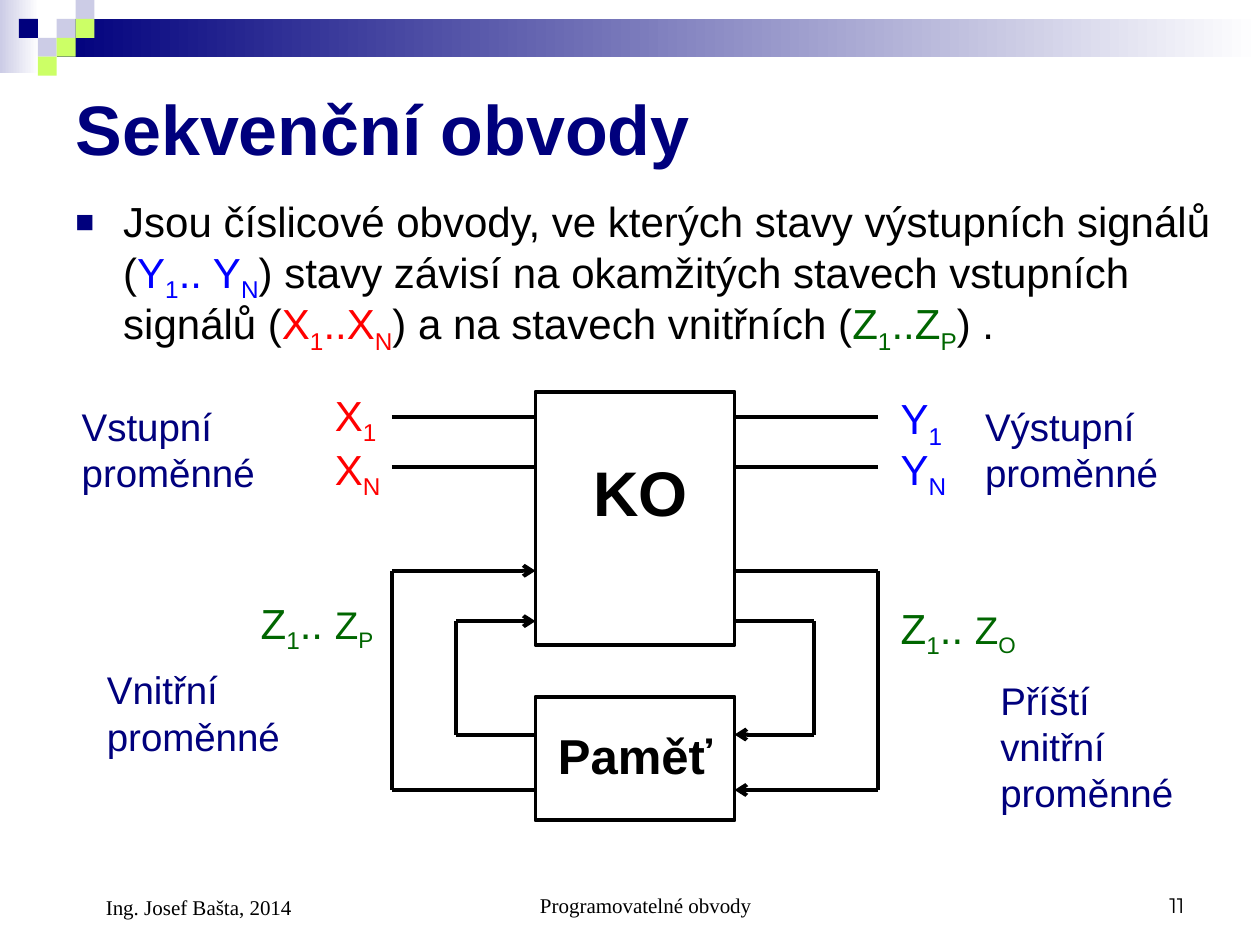
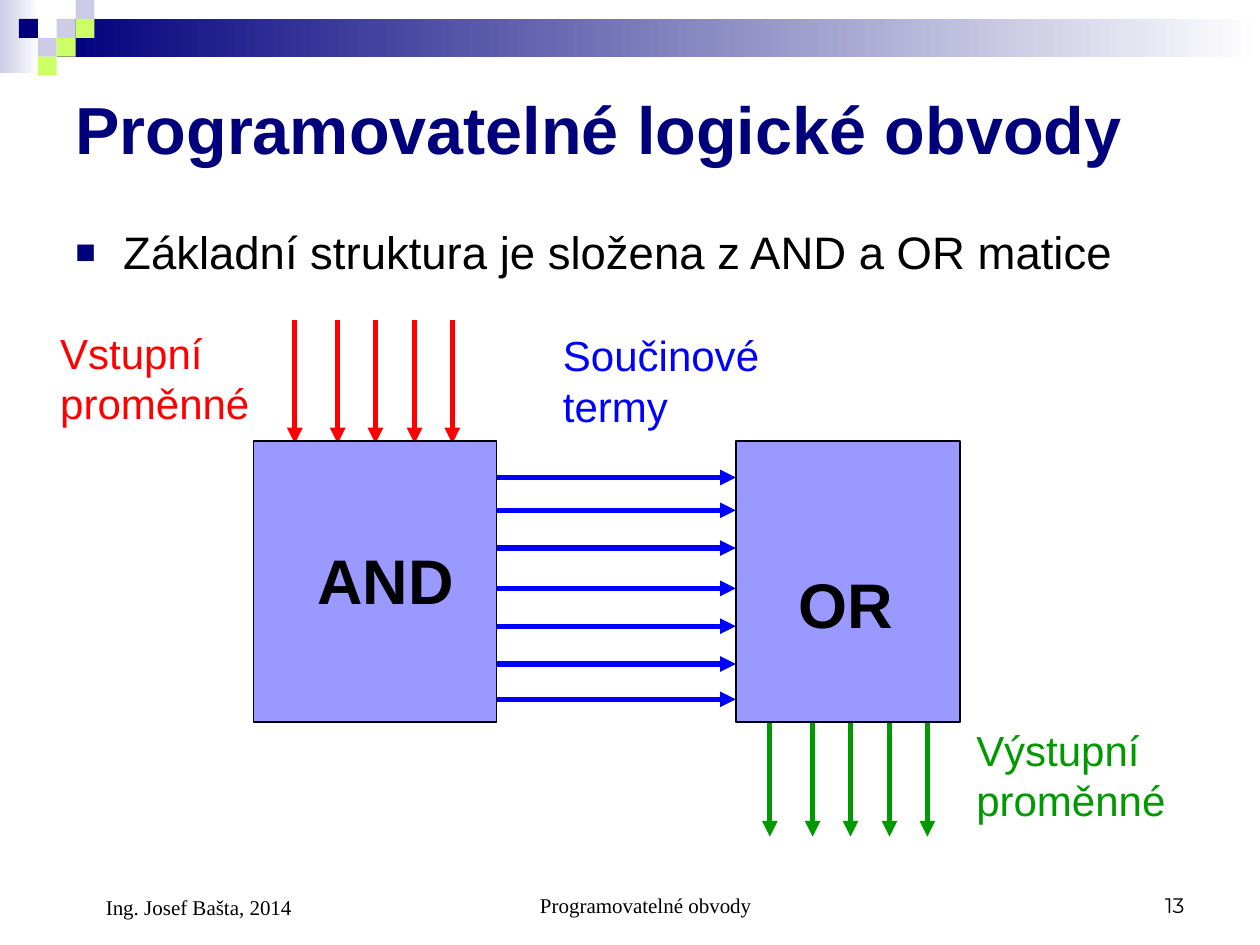
from lxml import etree
from pptx import Presentation
from pptx import util as u
from pptx.dml.color import RGBColor
from pptx.enum import shapes, text
from pptx.oxml.ns import qn

COLOURS = {
    "navy": "00007D", "lavender": "CCCCE6", "lime": "CCFF66", "white": "FFFFFF",
    "black": "000000", "blue": "0000FF", "red": "FF0000",
    "state": "006600", "output": "009900", "block": "9999FF",
}
SANS, SERIF, NUMBER = "Arial", "Times New Roman", "Montserrat"
LEFT, CENTER, RIGHT = text.PP_ALIGN.LEFT, text.PP_ALIGN.CENTER, text.PP_ALIGN.RIGHT
TOP, MIDDLE, BOTTOM = (text.MSO_ANCHOR.TOP, text.MSO_ANCHOR.MIDDLE,
                       text.MSO_ANCHOR.BOTTOM)
FOOTER_INDENT = 0.34


def rgb(name):
    return RGBColor.from_string(COLOURS[name])


def inches(box):
    return [u.Inches(length) for length in box]


# Shared drawing helpers
def set_font(paragraph, size, colour, bold=False, face=SANS):
    font = paragraph.font
    font.name, font.size, font.bold = face, u.Pt(size), bold
    font.color.rgb = rgb(colour)


def add_runs(paragraph, segments):
    """Add (wording, colour, size) segments; "_" makes the next letter a subscript."""
    for wording, colour, size in segments:
        head, *rest = wording.split("_")
        pieces = [(head, False)]
        for part in rest:
            pieces += [(part[0], True), (part[1:], False)]
        for piece, lowered in pieces:
            if not piece:
                continue
            run = paragraph.add_run()
            run.text = piece
            if colour:
                run.font.color.rgb = rgb(colour)
            if size:
                run.font.size = u.Pt(size)
            if lowered:
                run.font._element.set("baseline", "-25000")


def add_text(slide, box, wording, size, colour="black", bold=False, face=SANS,
             align=LEFT, anchor=TOP, left_inset=0.1):
    frame = slide.shapes.add_textbox(*inches(box)).text_frame
    frame.word_wrap = True
    frame.vertical_anchor = anchor
    frame.margin_left = u.Inches(left_inset)
    paragraph = frame.paragraphs[0]
    paragraph.alignment = align
    add_runs(paragraph, [(wording, None, None)] if isinstance(wording, str) else wording)
    set_font(paragraph, size, colour, bold, face)
    return paragraph


def add_bullet(slide, box, wording, size, line_spacing=1.0):
    paragraph = add_text(slide, box, wording, size)
    paragraph.line_spacing = line_spacing
    properties = paragraph._p.get_or_add_pPr()
    properties.set("marL", str(u.Inches(0.38)))
    properties.set("indent", str(u.Inches(-0.38)))
    colour = etree.Element(qn("a:buClr"))
    etree.SubElement(colour, qn("a:srgbClr"), val=COLOURS["navy"])
    marks = [colour,
             etree.Element(qn("a:buSzPct"), val="75000"),
             etree.Element(qn("a:buFont"), typeface=SANS),
             etree.Element(qn("a:buChar"), char="■")]
    defaults = properties.find(qn("a:defRPr"))
    for mark in marks:
        defaults.addprevious(mark)


def add_rect(slide, box, fill=None, line_width=None):
    rect = slide.shapes.add_shape(shapes.MSO_SHAPE.RECTANGLE, *inches(box))
    rect.shadow.inherit = False
    if fill:
        rect.fill.solid()
        rect.fill.fore_color.rgb = rgb(fill)
    else:
        rect.fill.background()
    if line_width:
        rect.line.color.rgb = rgb("black")
        rect.line.width = u.Pt(line_width)
    else:
        rect.line.fill.background()
    return rect


def add_line(slide, start, end, colour="black", width=2.25, arrow=None):
    line = slide.shapes.add_connector(shapes.MSO_CONNECTOR.STRAIGHT,
                                      *inches((*start, *end)))
    line.line.color.rgb = rgb(colour)
    line.line.width = u.Pt(width)
    if arrow:
        etree.SubElement(line.line._get_or_add_ln(), qn("a:tailEnd"), type=arrow)
    etree.SubElement(line._element.spPr, qn("a:effectLst"))


# Parts shared by the slides
def add_band(slide):
    for box, colour, angle in (((0, 0, 0.31, 0.58), "lavender", 0),
                               ((0.45, 0.15, 9.55, 0.3), "navy", 0)):
        fill = add_rect(slide, box).fill
        fill.gradient()
        fill.gradient_angle = angle
        for stop, name in zip(fill.gradient_stops, (colour, "white")):
            stop.color.rgb = rgb(name)
    cell = 0.15
    squares = {"lavender": [(3, 1), (4, 0), (2, 2)],
               "lime": [(4, 1), (3, 2), (2, 3)],
               "navy": [(1, 1)]}
    for colour, cells in squares.items():
        for column, row in cells:
            add_rect(slide, (column * cell, row * cell, cell, cell), colour)


def add_footer(slide, number):
    add_text(slide, (3.42, 6.83, 3.17, 0.5), "Programovatelné obvody", 12, face=SERIF,
             align=CENTER, anchor=BOTTOM, left_inset=FOOTER_INDENT)
    add_text(slide, (7.17, 6.83, 2.33, 0.5), number, 12, face=NUMBER,
             align=RIGHT, anchor=BOTTOM)
    add_text(slide, (0.5, 6.83, 2.33, 0.52), "Ing. Josef Bašta, 2014", 12, face=SERIF,
             anchor=BOTTOM, left_inset=FOOTER_INDENT)


def start_slide(prs, heading, size, number):
    slide = prs.slides.add_slide(prs.slide_layouts[5])
    add_band(slide)
    title = slide.shapes.title
    title.left, title.top, title.width, title.height = inches((0.5, 0.5, 9, 1.03))
    frame = title.text_frame
    frame.text = heading
    frame.word_wrap = True
    frame.auto_size = text.MSO_AUTO_SIZE.NONE
    frame.vertical_anchor = MIDDLE
    frame.paragraphs[0].alignment = LEFT
    set_font(frame.paragraphs[0], size, "navy", bold=True)
    add_footer(slide, number)
    return slide


# Sequential circuit: combinational block with memory feedback
def draw_feedback_circuit(slide, left, top):
    middle, half = left + 4.54, 0.79
    inner, outer = 1.42, 1.93
    add_rect(slide, (middle - half, top + 0.11, 2 * half, 2.01), line_width=2.25)
    add_rect(slide, (middle - half, top + 2.53, 2 * half, 0.98), line_width=2.25)

    # Wires mirrored about the blocks; state enters KO on the left, memory on the right
    for side in (-1, 1):
        edge = middle + side * half
        for y in (0.31, 0.71):
            add_line(slide, (middle + side * outer, top + y), (edge, top + y))
        for reach, upper, lower in ((outer, 1.53, 3.27), (inner, 1.93, 2.83)):
            x = middle + side * reach
            add_line(slide, (x, top + upper), (x, top + lower))
            for y, enters in ((upper, side < 0), (lower, side > 0)):
                add_line(slide, (x, top + y), (edge, top + y),
                         arrow="arrow" if enters else None)

    # Block names
    add_text(slide, (left + 4.11, top + 0.55, 1.02, 0.7), "KO", 36, bold=True)
    add_text(slide, (left + 3.83, top + 2.71, 1.57, 0.57), "Paměť", 28, bold=True)

    # Signal names
    signals = [(2.06, 0.04, "X_1", "red"), (2.06, 0.47, "X_N", "red"),
               (6.55, 0.07, "Y_1", "blue"), (6.55, 0.47, "Y_N", "blue")]
    for x, y, signal, colour in signals:
        add_text(slide, (left + x, top + y, 0.59, 0.56), signal, 24, colour)
    for x, y, last in ((1.47, 1.69, "Z_P"), (6.55, 1.73, "Z_O")):
        add_text(slide, (left + x, top + y, 1.18, 0.56),
                 [("Z_1.. ", None, None), (last, None, 22)], 24, "state")

    # Groups of variables
    groups = [(0.05, 0.15, "Vstupní proměnné"), (7.22, 0.15, "Výstupní proměnné"),
              (0.25, 2.24, "Vnitřní proměnné"), (7.34, 2.32, "Příští vnitřní proměnné")]
    for x, y, group in groups:
        add_text(slide, (left + x, top + y, 1.75, 0.82), group, 22, "navy")


# Programmable logic: AND matrix feeding an OR matrix
def draw_matrices(slide, left, top):
    and_left, or_left, block_top = left + 1.63, left + 5.46, top + 0.96
    and_width, or_width, block_height = 1.93, 1.78, 2.23

    # Inputs, outputs and product terms
    for step in (0, 0.34, 0.64, 0.95, 1.25):
        for x, y, colour in ((and_left + 0.33, top, "red"),
                             (or_left + 0.27, top + 3.12, "output")):
            add_line(slide, (x + step, y), (x + step, y + 0.98), colour, 3, "triangle")
    for drop in (0.29, 0.55, 0.85, 1.17, 1.47, 1.77, 2.05):
        y = block_top + drop
        add_line(slide, (and_left + and_width, y), (or_left, y), "blue", 3, "triangle")

    # Matrices and their names
    for x, width in ((and_left, and_width), (or_left, or_width)):
        add_rect(slide, (x, block_top, width, block_height), "block", 0.75)
    for x, y, name in ((1.93, 1.71, "AND"), (5.58, 1.9, "OR")):
        add_text(slide, (left + x, top + y, 1.5, 0.7), name, 36, bold=True, align=CENTER)

    # Signal groups
    groups = [(0, 0.01, "Vstupní proměnné", "red"),
              (7.27, 3.16, "Výstupní proměnné", "output"),
              (3.99, 0.03, "Součinové termy", "blue")]
    for x, y, group, colour in groups:
        add_text(slide, (left + x, top + y, 1.97, 0.9), group, 24, colour)


def build_sequential_slide(prs):
    slide = start_slide(prs, "Sekvenční obvody", 40, "11")
    definition = [
        ("Jsou číslicové obvody, ve kterých stavy výstupních signálů (", None, None),
        ("Y_1.. Y_N", "blue", None),
        (") stavy závisí na okamžitých stavech vstupních signálů (", None, None),
        ("X_1..X_N", "red", None),
        (") a na stavech vnitřních (", None, None),
        ("Z_1..Z_P", "state", None),
        (") .", None, None),
    ]
    add_bullet(slide, (0.5, 1.55, 9.26, 1.3), definition, 24, 0.9)
    draw_feedback_circuit(slide, 0.5, 3)


def build_programmable_slide(prs):
    slide = start_slide(prs, "Programovatelné logické obvody", 38, "13")
    add_bullet(slide, (0.5, 1.73, 9, 0.62),
               "Základní struktura je složena z AND a OR matice", 26)
    draw_matrices(slide, 0.38, 2.54)


def main():
    prs = Presentation()
    prs.slide_width, prs.slide_height = u.Inches(10), u.Inches(7.5)
    build_sequential_slide(prs)
    build_programmable_slide(prs)
    prs.save("out.pptx")


if __name__ == "__main__":
    main()
